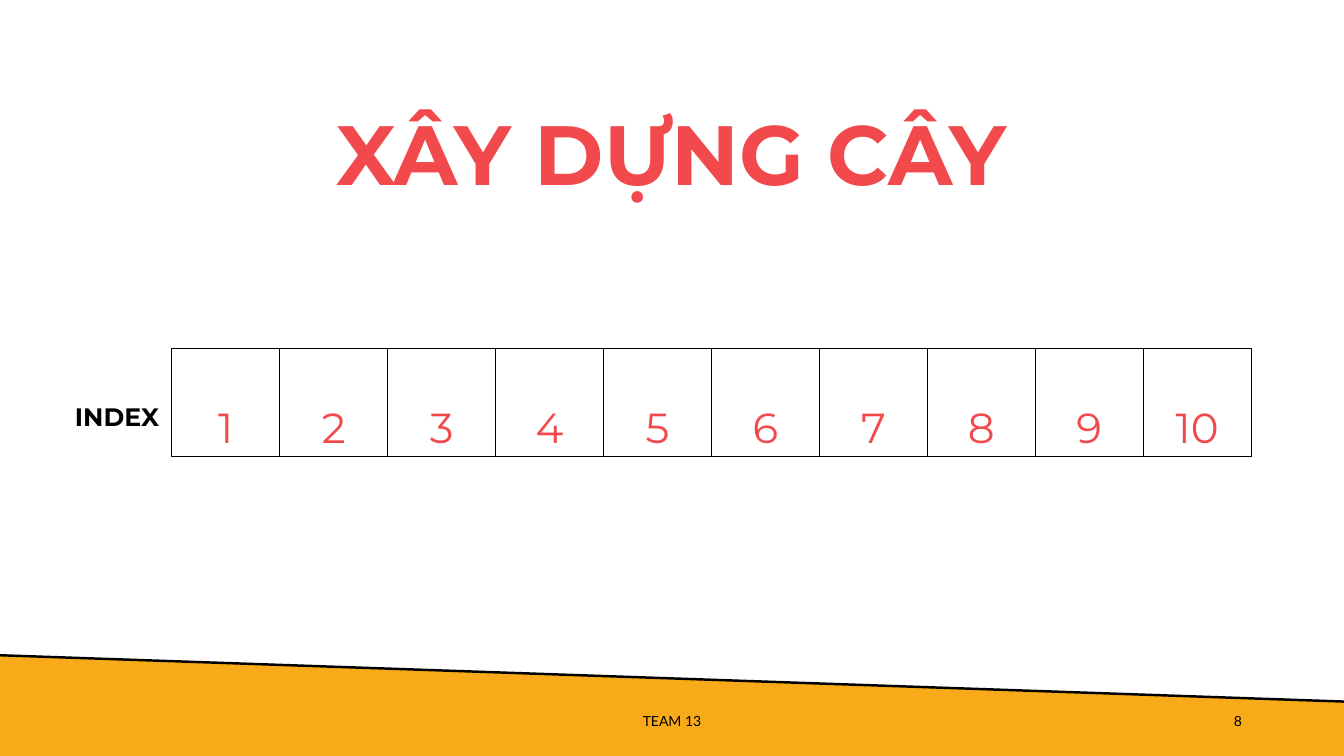
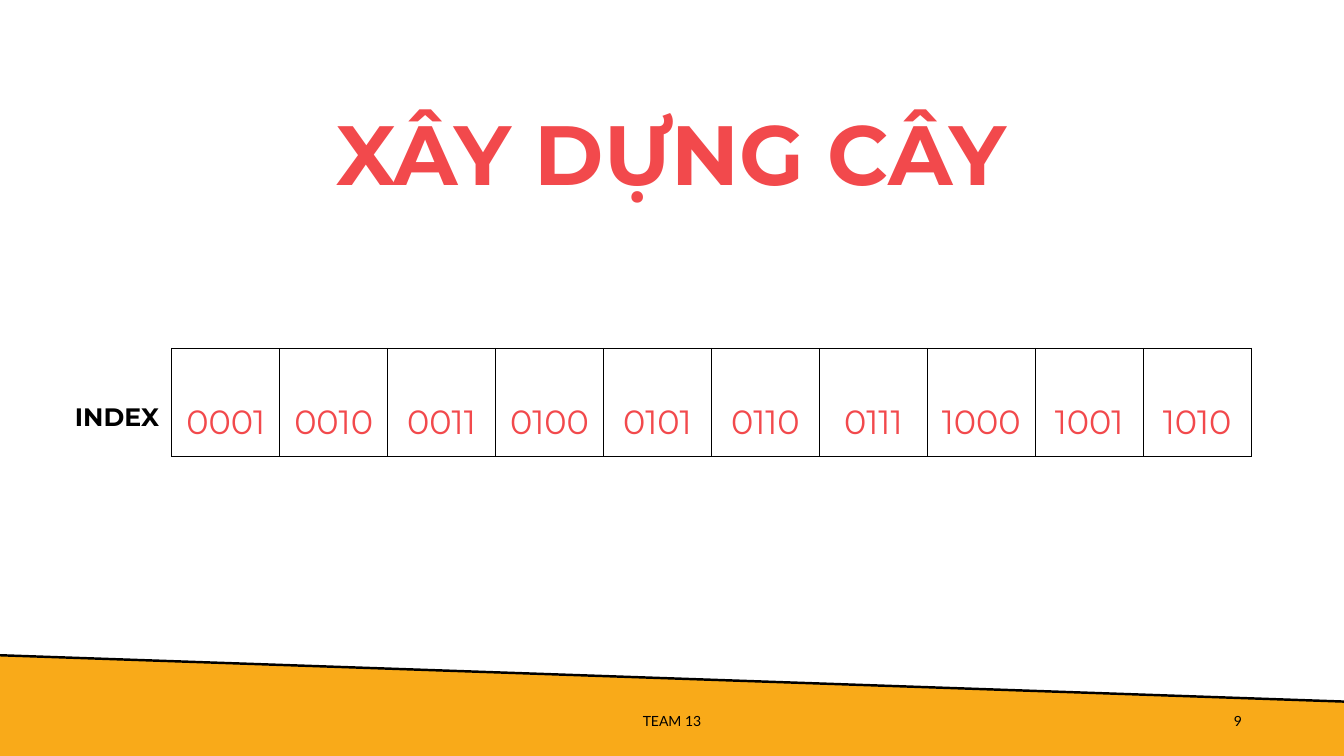
from dataclasses import dataclass

from lxml import etree
from pptx import Presentation
from pptx.dml.color import RGBColor
from pptx.enum.shapes import MSO_CONNECTOR
from pptx.enum.text import MSO_ANCHOR, MSO_AUTO_SIZE, PP_ALIGN
from pptx.oxml.ns import qn
from pptx.util import Cm, Pt

CENTER, RIGHT = PP_ALIGN.CENTER, PP_ALIGN.RIGHT
MIDDLE = MSO_ANCHOR.MIDDLE
NO_AUTOFIT = MSO_AUTO_SIZE.NONE
STRAIGHT = MSO_CONNECTOR.STRAIGHT

BLACK = RGBColor(0x00, 0x00, 0x00)
RED = RGBColor(0xF2, 0x49, 0x4C)
ORANGE = RGBColor(0xF9, 0xAA, 0x19)
TITLE_FONT, FOOTER_FONT = "Montserrat", "Lato"

TITLE_ONLY_LAYOUT = 5
BAND_LEFT, BAND_RIGHT = Cm(-0.03), Cm(33.91)
BAND_TOP_LEFT, BAND_TOP_RIGHT = Cm(16.51), Cm(17.68)
FOOTER_TOP, FOOTER_HEIGHT = Cm(17.65), Cm(1.02)

TABLE_LEFT, TABLE_TOP = Cm(1.57), Cm(5.88)
LABEL_WIDTH, BOX_SIZE, SPACER_HEIGHT = Cm(2.76), Cm(2.72), Cm(2.9)
ALL_SIDES = "LRTB"


@dataclass(frozen=True)
class IndexSlide:
    number: int
    values: list[str]
    value_size: int


INDEXES = range(1, 11)
SLIDES = [
    IndexSlide(8, [str(index) for index in INDEXES], 30),
    IndexSlide(9, [f"{index:04b}" for index in INDEXES], 24),
]


def write_text(text_frame, text: str, *, size: float, font: str = TITLE_FONT,
               color: RGBColor = BLACK, bold: bool = False,
               align: PP_ALIGN = CENTER, spacing: float = 1.0) -> None:
    paragraph = text_frame.paragraphs[0]
    paragraph.alignment = align
    paragraph.line_spacing = spacing
    run = paragraph.add_run()
    run.text = text
    run.font.size = Pt(size)
    run.font.name = font
    run.font.bold = bold
    run.font.color.rgb = color


def set_borders(cell, sides: str) -> None:
    """Draw the given sides in black and hide the others."""
    properties = cell._tc.get_or_add_tcPr()
    for position, side in enumerate(ALL_SIDES):
        line = etree.Element(qn(f"a:ln{side}"), w=str(Pt(1)))
        if side in sides:
            fill = etree.SubElement(line, qn("a:solidFill"))
            etree.SubElement(fill, qn("a:srgbClr"), val=str(BLACK))
        else:
            etree.SubElement(line, qn("a:noFill"))
        properties.insert(position, line)


def move_band_to_layout(slide, layout) -> None:
    """Build the slanted band and its edge, then hand them to the layout."""
    builder = slide.shapes.build_freeform(BAND_RIGHT, BAND_TOP_RIGHT)
    builder.add_line_segments([
        (BAND_LEFT, BAND_TOP_LEFT),
        (BAND_LEFT, Cm(19.05)),
        (BAND_RIGHT, Cm(19.13)),
    ])
    band = builder.convert_to_shape()
    band.shadow.inherit = False
    band.fill.solid()
    band.fill.fore_color.rgb = ORANGE
    band.line.fill.background()

    edge = slide.shapes.add_connector(
        STRAIGHT, BAND_LEFT, BAND_TOP_LEFT, BAND_RIGHT, BAND_TOP_RIGHT)
    edge.line.color.rgb = BLACK
    edge.line.width = Pt(1.75)
    etree.SubElement(edge.element.spPr, qn("a:effectLst"))

    for shape in (band, edge):
        layout.shapes.element.append(shape.element)


def add_footer(slide, text: str, left: Cm, width: Cm, align: PP_ALIGN) -> None:
    box = slide.shapes.add_textbox(left, FOOTER_TOP, width, FOOTER_HEIGHT)
    box.text_frame.word_wrap = True
    box.text_frame.vertical_anchor = MIDDLE
    write_text(box.text_frame, text, size=10, font=FOOTER_FONT, align=align)


def add_index_table(slide, values: list[str], value_size: int) -> None:
    count = len(values)
    table = slide.shapes.add_table(
        2, count + 1, TABLE_LEFT, TABLE_TOP,
        LABEL_WIDTH + count * BOX_SIZE, SPACER_HEIGHT + BOX_SIZE).table
    table.first_row = table.horz_banding = False
    table.rows[0].height, table.rows[1].height = SPACER_HEIGHT, BOX_SIZE
    for number, column in enumerate(table.columns):
        column.width = BOX_SIZE if number else LABEL_WIDTH

    for cell in table.iter_cells():
        cell.fill.background()
        cell.vertical_anchor = MIDDLE

    # Empty row above the boxes
    for number in range(count + 1):
        set_borders(table.cell(0, number), "B" if number else "")

    # Label and numbered boxes
    label = table.cell(1, 0)
    set_borders(label, "R")
    write_text(label.text_frame, "INDEX", size=18, bold=True, spacing=2.0)
    for number, value in enumerate(values, start=1):
        cell = table.cell(1, number)
        cell.margin_left = cell.margin_right = Cm(0.18)
        cell.margin_top = cell.margin_bottom = 0
        set_borders(cell, ALL_SIDES)
        write_text(cell.text_frame, value, size=value_size, color=RED, spacing=2.0)


def add_index_slide(presentation, layout, content: IndexSlide):
    slide = presentation.slides.add_slide(layout)
    frame = slide.shapes.title.text_frame
    frame.auto_size = NO_AUTOFIT
    frame.vertical_anchor = MIDDLE
    write_text(frame, "XÂY DỰNG CÂY", size=60, color=RED, bold=True, spacing=0.9)
    add_footer(slide, str(content.number), Cm(23.93), Cm(7.62), RIGHT)
    add_footer(slide, "TEAM 13", Cm(11.22), Cm(11.43), CENTER)
    add_index_table(slide, content.values, content.value_size)
    return slide


def main() -> None:
    presentation = Presentation()
    presentation.slide_width, presentation.slide_height = Cm(33.87), Cm(19.05)

    # Shared title position
    layout = presentation.slide_layouts[TITLE_ONLY_LAYOUT]
    title = layout.placeholders[0]
    title.left, title.top = Cm(2.59), Cm(2.84)
    title.width, title.height = Cm(28.65), Cm(2.29)

    slides = [add_index_slide(presentation, layout, content) for content in SLIDES]
    move_band_to_layout(slides[0], layout)
    presentation.save("out.pptx")


if __name__ == "__main__":
    main()
